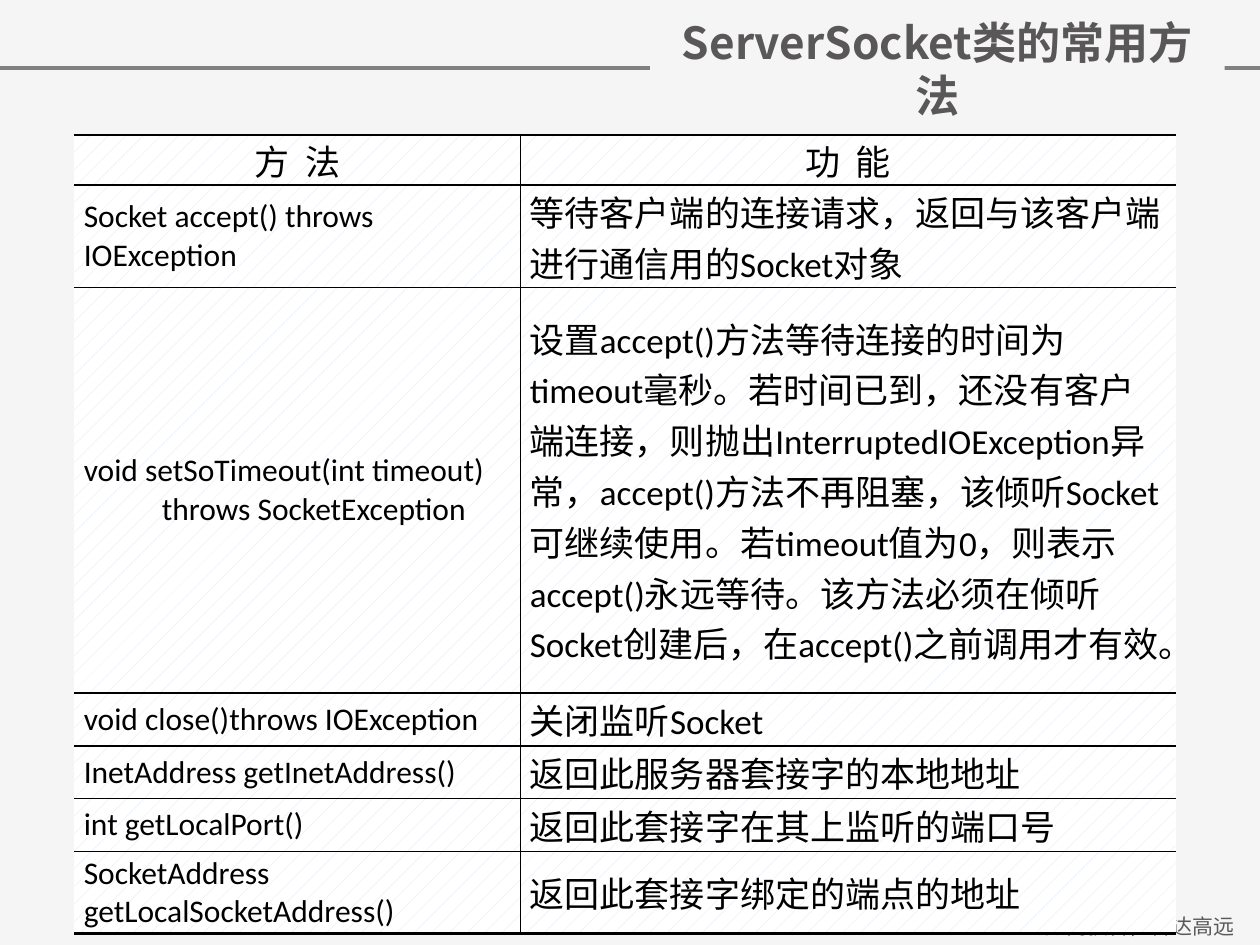
from dataclasses import dataclass

from lxml.etree import SubElement
from pptx import Presentation
from pptx.dml.color import RGBColor
from pptx.enum.dml import MSO_PATTERN
from pptx.enum.shapes import MSO_CONNECTOR, MSO_SHAPE
from pptx.enum.text import MSO_ANCHOR as Anchor, PP_ALIGN as Align
from pptx.oxml import parse_xml
from pptx.oxml.ns import nsdecls, qn
from pptx.util import Inches, Pt


@dataclass(frozen=True)
class Theme:
    background: str = "F5F5F5"
    rule: str = "808080"
    title: str = "595758"
    footer: str = "595959"
    ink: str = "000000"
    pattern: str = "DCE6F2"
    paper: str = "FFFFFF"
    latin: str = "Calibri"
    chinese: str = "Noto Sans CJK SC"
    title_size: float = 25.2
    body_size: float = 20
    code_size: float = 18
    footer_size: float = 12
    inner_border: float = 1
    outer_border: float = 1.5


THEME = Theme()
WIDTH, HEIGHT = 10, 7.5
COLUMNS = (3.54, 5.2)
ROWS = (0.4, 0.81, 3.22, 0.42, 0.42, 0.42, 0.65)
HEADINGS = ("方  法", "功  能")
METHODS = (
    (("Socket accept() throws IOException",),
     "等待客户端的连接请求，返回与该客户端进行通信用的Socket对象"),
    (("void setSoTimeout(int timeout)", "throws SocketException"),
     "设置accept()方法等待连接的时间为timeout毫秒。若时间已到，还没有客户端连接，"
     "则抛出InterruptedIOException异常，accept()方法不再阻塞，该倾听Socket可继续使用。"
     "若timeout值为0，则表示accept()永远等待。该方法必须在倾听Socket创建后，"
     "在accept()之前调用才有效。"),
    (("void close()throws IOException",), "关闭监听Socket"),
    (("InetAddress getInetAddress()",), "返回此服务器套接字的本地地址"),
    (("int getLocalPort()",), "返回此套接字在其上监听的端口号"),
    (("SocketAddress getLocalSocketAddress()",), "返回此套接字绑定的端点的地址"),
)


def color(value):
    return RGBColor.from_string(value)


def add_run(paragraph, text, size, ink, latin, bold=False):
    run = paragraph.add_run()
    run.text = text
    font = run.font
    font.size, font.name, font.bold = Pt(size), latin, bold
    font.color.rgb = color(ink)
    SubElement(font._element, qn("a:ea"), typeface=THEME.chinese)


def add_rule(slide, box):
    left, top, width, _ = map(Inches, box)
    line = slide.shapes.add_connector(MSO_CONNECTOR.STRAIGHT, left, top, left + width, top)
    line.line.color.rgb = color(THEME.rule)
    line.line.width = Pt(2)
    SubElement(line._element.spPr, qn("a:effectLst"))


def add_footer(slide, box):
    frame = slide.shapes.add_textbox(*map(Inches, box)).text_frame
    frame.word_wrap = True
    paragraph = frame.paragraphs[0]
    paragraph.alignment = Align.CENTER
    add_run(paragraph, "------  知而获智，智达高远", THEME.footer_size, THEME.footer, THEME.chinese)


def add_title(slide, box):
    shape = slide.shapes.add_shape(MSO_SHAPE.RECTANGLE, *map(Inches, box))
    shape.shadow.inherit = False
    shape.fill.solid()
    shape.fill.fore_color.rgb = color(THEME.background)
    shape.line.fill.background()
    frame = shape.text_frame
    frame.word_wrap = True
    frame.vertical_anchor = Anchor.MIDDLE
    paragraph = frame.paragraphs[0]
    paragraph.alignment = Align.CENTER
    add_run(paragraph, "ServerSocket类的常用方法", THEME.title_size, THEME.title, THEME.chinese, True)


def set_borders(cell, **widths):
    properties = cell._tc.get_or_add_tcPr()
    for index, side in enumerate("LRTB"):
        width = widths[side]
        paint = f'<a:solidFill><a:srgbClr val="{THEME.ink}"/></a:solidFill>' if width else "<a:noFill/>"
        border = parse_xml(f'<a:ln{side} {nsdecls("a")} w="{Pt(width)}">{paint}</a:ln{side}>')
        properties.insert(index, border)


def fill_cell(cell, lines, size, alignment):
    cell.margin_left = cell.margin_right = Pt(5.4)
    cell.margin_top = cell.margin_bottom = 0
    cell.vertical_anchor = Anchor.MIDDLE
    cell.fill.patterned()
    cell.fill.pattern = MSO_PATTERN.PERCENT_5
    cell.fill.fore_color.rgb = color(THEME.pattern)
    cell.fill.back_color.rgb = color(THEME.paper)
    frame = cell.text_frame
    for index, text in enumerate(lines):
        paragraph = frame.add_paragraph() if index else frame.paragraphs[0]
        paragraph.alignment = alignment
        if index:
            paragraph._p.get_or_add_pPr().set("marL", str(Inches(0.62)))
        add_run(paragraph, text, size, THEME.ink, THEME.latin)


def add_method_table(slide, box):
    left, top, width, height = box
    table = slide.shapes.add_table(len(ROWS), len(COLUMNS), *map(Inches, box)).table
    table.first_row = table.horz_banding = False
    for column, share in zip(table.columns, COLUMNS):
        column.width = Inches(width * share / sum(COLUMNS))
    for row, share in zip(table.rows, ROWS):
        row.height = Inches(height * share / sum(ROWS))
    for column, heading in enumerate(HEADINGS):
        fill_cell(table.cell(0, column), (heading,), THEME.body_size, Align.CENTER)
    for row, (signature, purpose) in enumerate(METHODS, 1):
        fill_cell(table.cell(row, 0), signature, THEME.code_size, Align.LEFT)
        fill_cell(table.cell(row, 1), (purpose,), THEME.body_size, Align.LEFT)
    inner, outer = THEME.inner_border, THEME.outer_border
    for row in range(len(ROWS)):
        for column in range(len(COLUMNS)):
            set_borders(
                table.cell(row, column),
                L=inner if column else 0,
                R=0 if column else inner,
                T=inner if row else outer,
                B=outer if row == len(ROWS) - 1 else inner,
            )


def main():
    presentation = Presentation()
    presentation.slide_width, presentation.slide_height = Inches(WIDTH), Inches(HEIGHT)
    slide = presentation.slides.add_slide(presentation.slide_layouts[6])
    slide.background.fill.solid()
    slide.background.fill.fore_color.rgb = color(THEME.background)
    add_rule(slide, (0, 0.54, WIDTH, 0))
    add_footer(slide, (WIDTH - 2.32, HEIGHT - 0.3, 2.32, 0.3))
    add_title(slide, (5.16, 0.26, 4.56, 0.57))
    add_method_table(slide, (0.59, 1.07, sum(COLUMNS), sum(ROWS)))
    presentation.save("out.pptx")


if __name__ == "__main__":
    main()
